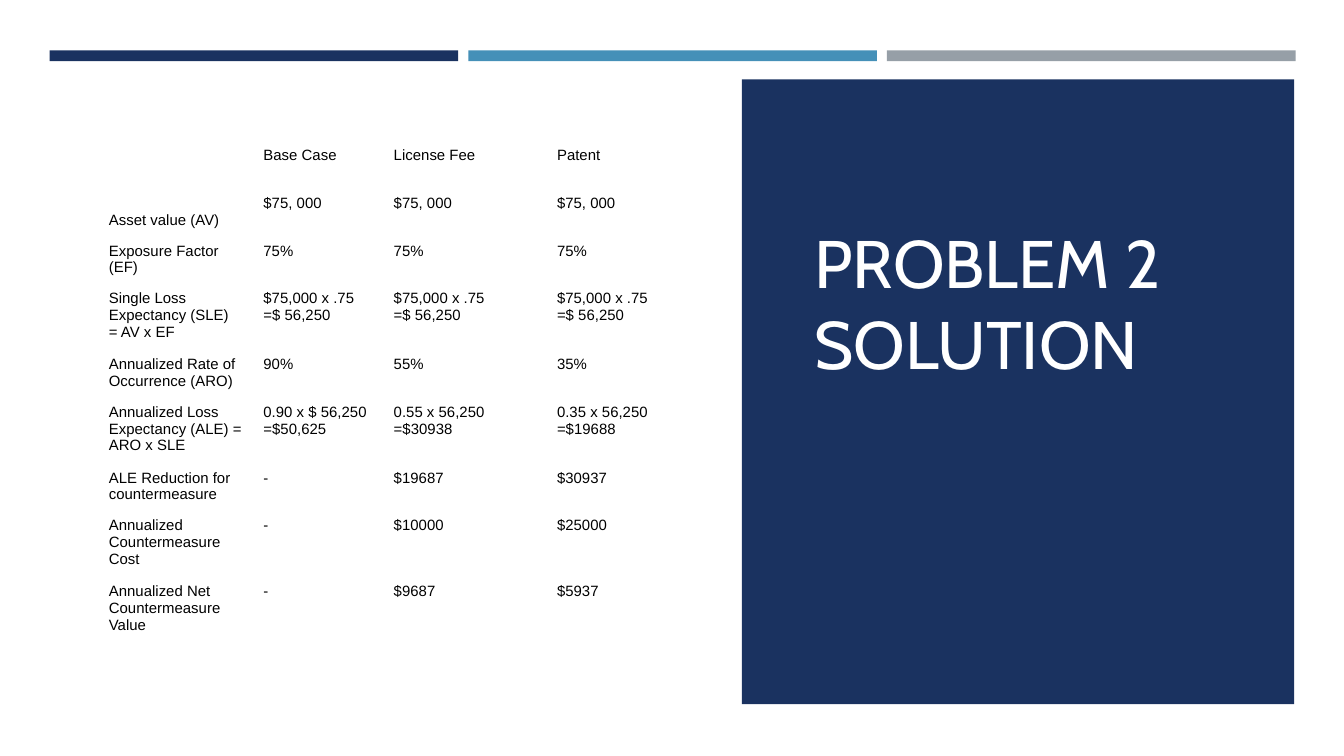
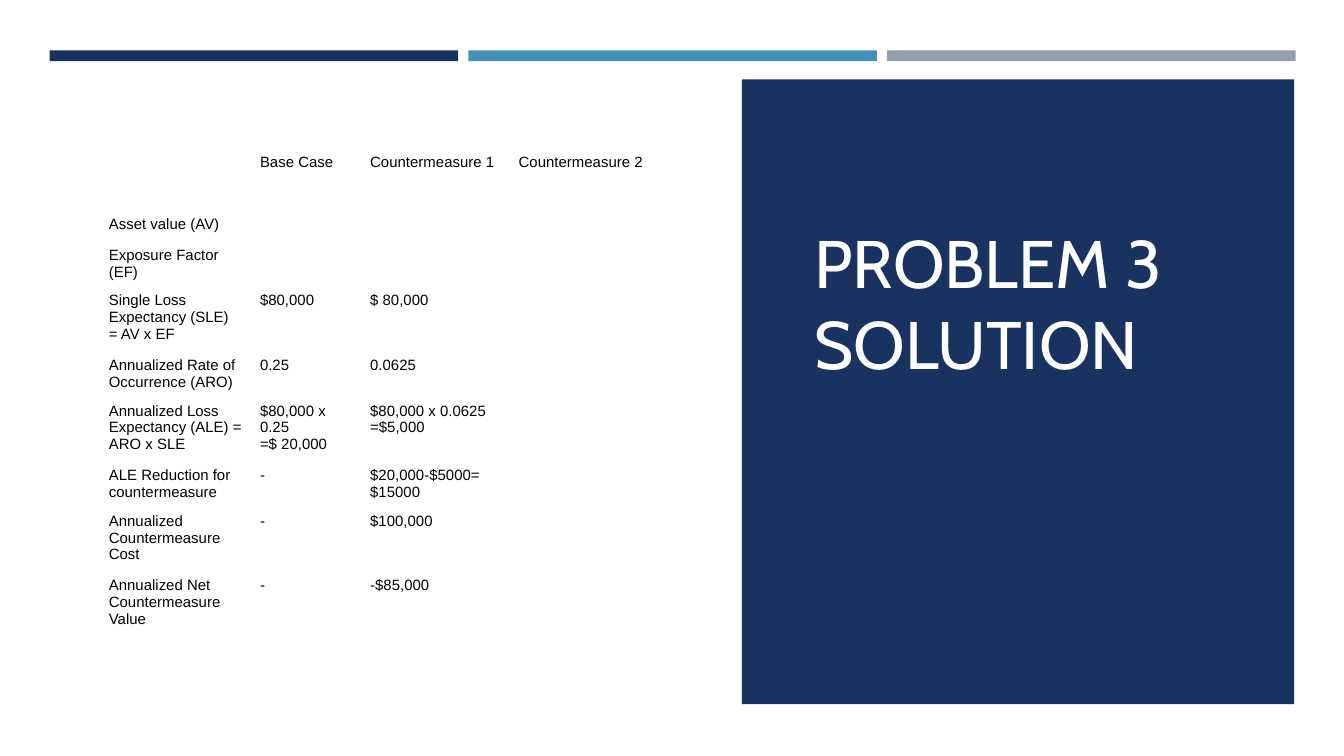
import dataclasses

import lxml.etree
import pptx
import pptx.dml.color
import pptx.enum.shapes
import pptx.enum.text
import pptx.oxml.ns
import pptx.presentation
import pptx.slide
import pptx.table
import pptx.util

EMU_PER_PX = 4572


@dataclasses.dataclass(frozen=True)
class Theme:
    navy: str = "1A3260"
    blue: str = "4590B8"
    gray: str = "969FA7"
    white: str = "FFFFFF"
    black: str = "000000"
    title_font: str = "Cabin"
    body_font: str = "Arial"
    title_size: int = 36
    body_size: int = 8


@dataclasses.dataclass(frozen=True)
class Area:
    left: int
    top: int
    width: int
    height: int


@dataclasses.dataclass(frozen=True)
class Solution:
    title: str
    top: int
    column_widths: tuple[int, ...]
    row_heights: tuple[int, ...]
    asset_label_drop: int
    headers: tuple[str, ...]
    values: tuple[tuple[str, ...], ...]


THEME = Theme()
PAGE = Area(0, 0, 2000, 1125)
FIRST_BAR = Area(74, 75, 608, 16)
BAR_STEP = 623
BODY = Area(0, 104, 2000, 1021)
TITLE_PANEL = Area(1104, 118, 822, 930)
TITLE = Area(1192, 232, 676, 342)
TABLE_LEFT = 152
CELL_MARGIN_X = 10
CELL_MARGIN_Y = 5
ASSET_ROW = 1

MEASURES = (
    "Asset value (AV)",
    "Exposure Factor (EF)",
    "Single Loss Expectancy (SLE)\n= AV x EF",
    "Annualized Rate of Occurrence (ARO)",
    "Annualized Loss Expectancy (ALE) = ARO x SLE",
    "ALE Reduction for countermeasure",
    "Annualized Countermeasure Cost",
    "Annualized Net Countermeasure Value",
)

SOLUTIONS = (
    Solution(
        title="PROBLEM 2 SOLUTION",
        top=214,
        column_widths=(230, 194, 243, 180),
        row_heights=(71, 71, 71, 98, 71, 98, 71, 98, 98),
        asset_label_drop=25,
        headers=("Base Case", "License Fee", "Patent"),
        values=(
            ("$75, 000",) * 3,
            ("75%",) * 3,
            ("$75,000 x .75\n=$ 56,250",) * 3,
            ("90%", "55%", "35%"),
            ("0.90 x $ 56,250\n=$50,625", "0.55 x 56,250\n=$30938", "0.35 x 56,250\n=$19688"),
            ("-", "$19687", "$30937"),
            ("-", "$10000", "$25000"),
            ("-", "$9687", "$5937"),
        ),
    ),
    Solution(
        title="PROBLEM 3 SOLUTION",
        top=224,
        column_widths=(225, 164, 221, 237),
        row_heights=(42, 96, 68, 96, 68, 96, 68, 96, 96),
        asset_label_drop=50,
        headers=("Base Case", "Countermeasure 1", "Countermeasure 2"),
        values=(
            ("", "", ""),
            ("", "", ""),
            ("$80,000", "$ 80,000", ""),
            ("0.25", "0.0625", ""),
            ("$80,000 x 0.25\n=$ 20,000", "$80,000 x 0.0625\n=$5,000", ""),
            ("-", "$20,000-$5000=\n$15000", ""),
            ("-", "$100,000", ""),
            ("-", "-$85,000", ""),
        ),
    ),
)


def px(length: int) -> pptx.util.Emu:
    return pptx.util.Emu(length * EMU_PER_PX)


def place(area: Area) -> tuple[pptx.util.Emu, ...]:
    return px(area.left), px(area.top), px(area.width), px(area.height)


def rgb(color: str) -> pptx.dml.color.RGBColor:
    return pptx.dml.color.RGBColor.from_string(color)


def style_runs(frame: pptx.text.text.TextFrame, font: str, size: int, color: str) -> None:
    for para in frame.paragraphs:
        for span in para.runs:
            span.font.name = font
            span.font.size = pptx.util.Pt(size)
            span.font.bold = False
            span.font.color.rgb = rgb(color)


def add_rectangle(page: pptx.slide.Slide, area: Area, color: str) -> None:
    box = page.shapes.add_shape(pptx.enum.shapes.MSO_SHAPE.RECTANGLE, *place(area))
    box.shadow.inherit = False
    box.fill.solid()
    box.fill.fore_color.rgb = rgb(color)
    box.line.fill.background()


def add_frame(page: pptx.slide.Slide) -> None:
    for index, color in enumerate((THEME.navy, THEME.blue, THEME.gray)):
        bar = dataclasses.replace(FIRST_BAR, left=FIRST_BAR.left + index * BAR_STEP)
        add_rectangle(page, bar, color)
    add_rectangle(page, BODY, THEME.white)
    add_rectangle(page, TITLE_PANEL, THEME.navy)


def add_title(page: pptx.slide.Slide, title: str) -> None:
    frame = page.shapes.add_textbox(*place(TITLE)).text_frame
    frame.word_wrap = True
    frame.vertical_anchor = pptx.enum.text.MSO_ANCHOR.BOTTOM
    frame.margin_bottom = px(4)
    frame.text = title
    style_runs(frame, THEME.title_font, THEME.title_size, THEME.white)


def fill_cell(cell: pptx.table._Cell, text: str) -> None:
    cell.fill.background()
    cell.margin_left = cell.margin_right = px(CELL_MARGIN_X)
    cell.margin_top = cell.margin_bottom = px(CELL_MARGIN_Y)
    frame = cell.text_frame
    frame.text = text
    style_runs(frame, THEME.body_font, THEME.body_size, THEME.black)
    if not text:
        tag = pptx.oxml.ns.qn("a:endParaRPr")
        lxml.etree.SubElement(frame.paragraphs[0]._p, tag, sz=str(THEME.body_size * 100))


def add_solution_table(page: pptx.slide.Slide, solution: Solution) -> None:
    rows = [("", *solution.headers)]
    rows += [(measure, *values) for measure, values in zip(MEASURES, solution.values)]
    area = Area(TABLE_LEFT, solution.top, sum(solution.column_widths), sum(solution.row_heights))
    table = page.shapes.add_table(len(rows), len(solution.column_widths), *place(area)).table
    table.first_row = False
    table.horz_banding = False
    for column, width in zip(table.columns, solution.column_widths):
        column.width = px(width)
    for row, height, texts in zip(table.rows, solution.row_heights, rows):
        row.height = px(height)
        for cell, text in zip(row.cells, texts):
            fill_cell(cell, text)
    table.cell(ASSET_ROW, 0).margin_top = px(CELL_MARGIN_Y + solution.asset_label_drop)


def add_solution_page(deck: pptx.presentation.Presentation, solution: Solution) -> None:
    page = deck.slides.add_slide(deck.slide_layouts[6])
    page.background.fill.solid()
    page.background.fill.fore_color.rgb = rgb(THEME.white)
    add_frame(page)
    add_title(page, solution.title)
    add_solution_table(page, solution)


def main() -> None:
    deck = pptx.Presentation()
    deck.slide_width = px(PAGE.width)
    deck.slide_height = px(PAGE.height)
    for solution in SOLUTIONS:
        add_solution_page(deck, solution)
    deck.save("out.pptx")


if __name__ == "__main__":
    main()
